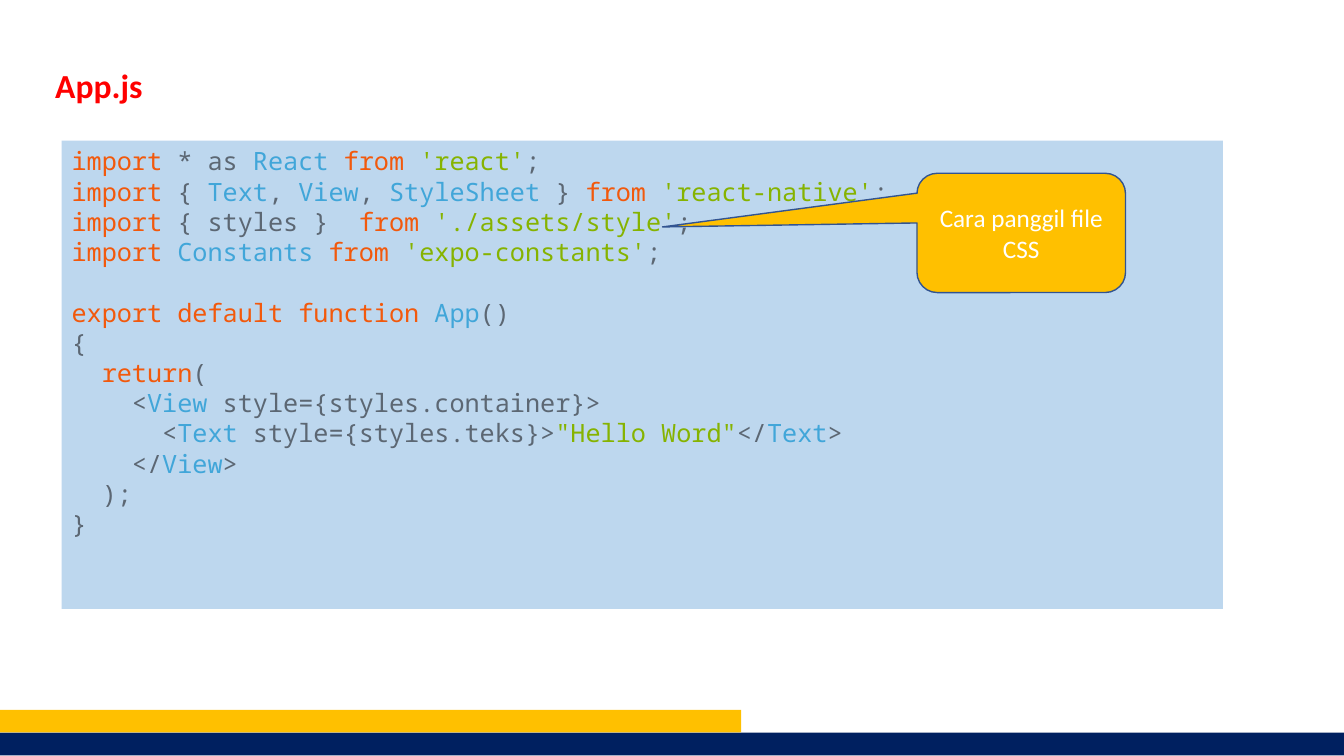
from dataclasses import dataclass

from pptx import Presentation
from pptx.dml.color import RGBColor
from pptx.enum.shapes import MSO_SHAPE
from pptx.enum.text import MSO_ANCHOR, PP_ALIGN
from pptx.util import Pt

RECTANGLE = MSO_SHAPE.RECTANGLE
CALLOUT = MSO_SHAPE.ROUNDED_RECTANGULAR_CALLOUT
TOP, MIDDLE = MSO_ANCHOR.TOP, MSO_ANCHOR.MIDDLE
LEFT, CENTER = PP_ALIGN.LEFT, PP_ALIGN.CENTER


@dataclass(frozen=True)
class Theme:
    text_font: str = "Calibri"
    code_font: str = "Noto Sans Mono"
    title_size: float = 24
    body_size: float = 18
    code_indent: float = 21.6  # two characters of code
    code_line: float = 21.6
    title: str = "FF0000"
    panel: str = "BDD7EE"
    accent: str = "FFC000"
    outline: str = "325491"
    navy: str = "002060"
    white: str = "FFFFFF"
    keyword: str = "F2590C"
    plain: str = "5C6773"
    name: str = "41A6D9"
    string: str = "86B300"


class SlideBuilder:
    def __init__(self, page, theme):
        self.page = page
        self.theme = theme

    def shape(self, kind, left, top, width, height, fill, line=None):
        shape = self.page.shapes.add_shape(
            kind, Pt(left), Pt(top), Pt(width), Pt(height))
        shape.shadow.inherit = False
        shape.fill.solid()
        shape.fill.fore_color.rgb = RGBColor.from_string(fill)
        if line:
            shape.line.color.rgb = RGBColor.from_string(line)
            shape.line.width = Pt(1)
        else:
            shape.line.fill.background()
        return shape

    def frame(self, box, anchor):
        frame = box.text_frame
        frame.word_wrap = True
        frame.vertical_anchor = anchor
        return frame

    def span(self, para, text, font, size, color, bold=False):
        span = para.add_run()
        span.text = text
        span.font.name = font
        span.font.size = Pt(size)
        span.font.bold = bold
        span.font.color.rgb = RGBColor.from_string(color)

    def heading(self, text, left, top, width, height):
        box = self.page.shapes.add_textbox(
            Pt(left), Pt(top), Pt(width), Pt(height))
        para = self.frame(box, MIDDLE).paragraphs[0]
        para.line_spacing = 0.9
        self.span(para, text, self.theme.text_font, self.theme.title_size,
                  self.theme.title, bold=True)

    def code(self, lines, left, top, width, height):
        theme = self.theme
        panel = self.shape(RECTANGLE, left, top, width, height, theme.panel)
        frame = self.frame(panel, TOP)
        for index, (level, gap, spans) in enumerate(lines):
            para = frame.add_paragraph() if index else frame.paragraphs[0]
            para.alignment = LEFT
            para.space_before = Pt(gap * theme.code_line)
            indent = Pt(level * theme.code_indent)
            para._p.get_or_add_pPr().set("marL", str(int(indent)))
            for color, text in spans:
                self.span(para, text, theme.code_font, theme.body_size, color)

    def callout(self, text, left, top, width, height, adjustments):
        theme = self.theme
        box = self.shape(CALLOUT, left, top, width, height,
                         theme.accent, theme.outline)
        for index, value in enumerate(adjustments):
            box.adjustments[index] = value
        para = self.frame(box, MIDDLE).paragraphs[0]
        para.alignment = CENTER
        self.span(para, text, theme.text_font, theme.body_size, theme.white)


theme = Theme()
KEYWORD, PLAIN = theme.keyword, theme.plain
NAME, STRING = theme.name, theme.string


def import_line(what, module):
    return (0, 0, [(KEYWORD, "import "), *what, (KEYWORD, "from "),
                   (STRING, f"'{module}'"), (PLAIN, ";")])


# Code lines: indent level, blank lines before, coloured spans
CODE = [
    import_line([(PLAIN, "* as "), (NAME, "React ")], "react"),
    import_line([(PLAIN, "{ "), (NAME, "Text"), (PLAIN, ", "),
                 (NAME, "View"), (PLAIN, ", "), (NAME, "StyleSheet"),
                 (PLAIN, " } ")], "react-native"),
    import_line([(PLAIN, "{ styles }  ")], "./assets/style"),
    import_line([(NAME, "Constants ")], "expo-constants"),
    (0, 1, [(KEYWORD, "export default function "), (NAME, "App"),
            (PLAIN, "()")]),
    (0, 0, [(PLAIN, "{")]),
    (1, 0, [(KEYWORD, "return"), (PLAIN, "(")]),
    (2, 0, [(PLAIN, "<"), (NAME, "View"),
            (PLAIN, " style={styles.container}>")]),
    (3, 0, [(PLAIN, "<"), (NAME, "Text"), (PLAIN, " style={styles.teks}>"),
            (STRING, '"Hello Word"'), (PLAIN, "</"), (NAME, "Text"),
            (PLAIN, ">")]),
    (2, 0, [(PLAIN, "</"), (NAME, "View"), (PLAIN, ">")]),
    (1, 0, [(PLAIN, ");")]),
    (0, 0, [(PLAIN, "}")]),
]

deck = Presentation()
deck.slide_width, deck.slide_height = Pt(960), Pt(540)
builder = SlideBuilder(deck.slides.add_slide(deck.slide_layouts[6]), theme)

# Code panel and title
builder.code(CODE, 44, 100.5, 829.5, 334.5)
builder.heading("App.js", 32.4, 41.8, 302.4, 41.8)

# Note pointing at the style import
builder.callout("Cara panggil file CSS", 655, 123.8, 149, 85.2,
                (-1.72, -0.05, 0.17))

# Footer bars
BAR_HEIGHT = 16.2
for top, width, color in ((523.4, 960, theme.navy), (507, 529.5, theme.accent)):
    builder.shape(RECTANGLE, 0, top, width, BAR_HEIGHT, color)

deck.save("out.pptx")
